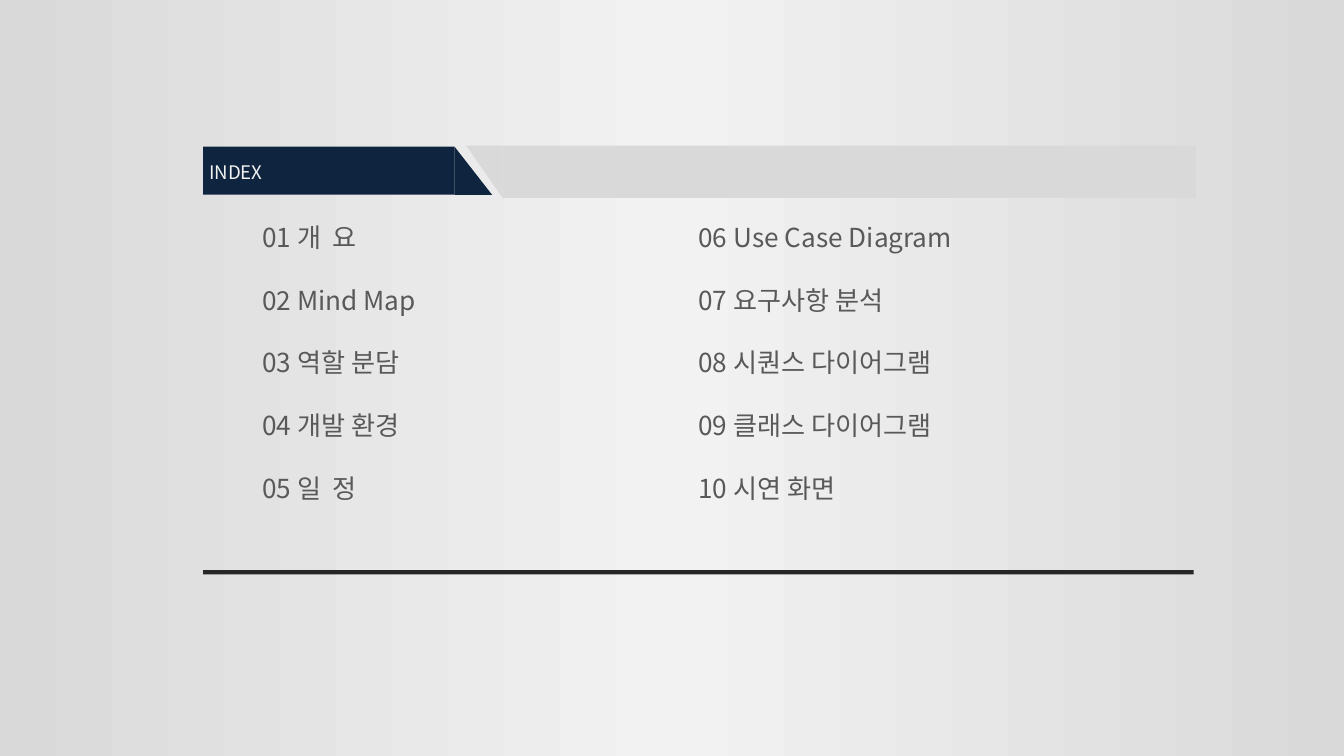
"""Build the INDEX slide: a header band, ten numbered topics in two columns and a closing rule."""
from copy import deepcopy

from lxml.etree import SubElement
from pptx import Presentation
from pptx.dml.color import RGBColor
from pptx.enum.shapes import MSO_SHAPE as Shape
from pptx.enum.text import MSO_ANCHOR as Anchor, MSO_AUTO_SIZE as AutoSize, PP_ALIGN as Align
from pptx.oxml.ns import qn
from pptx.util import Cm, Pt

FONT = "Noto Sans CJK KR"
NAVY = RGBColor(0x0F, 0x24, 0x3E)
SILVER = RGBColor(0xD9, 0xD9, 0xD9)
PALE = RGBColor(0xF2, 0xF2, 0xF2)
CHARCOAL = RGBColor(0x26, 0x26, 0x26)
GRAY = RGBColor(0x59, 0x59, 0x59)

TOPICS = [
    "01 개  요", "02 Mind Map", "03 역할 분담", "04 개발 환경", "05 일  정",
    "06 Use Case Diagram", "07 요구사항 분석", "08 시퀀스 다이어그램",
    "09 클래스 다이어그램", "10 시연 화면",
]


def place(shape, left, top, width, height):
    shape.left, shape.top = Cm(left), Cm(top)
    shape.width, shape.height = Cm(width), Cm(height)


def add_text(paragraph, text, size, color):
    run = paragraph.add_run()
    run.text = text
    run.font.size = Pt(size)
    run.font.name = FONT
    run.font.color.rgb = color
    SubElement(run.font._element, qn("a:ea")).set("typeface", FONT)


presentation = Presentation()
presentation.slide_width, presentation.slide_height = Cm(25.4), Cm(14.28)
slide = presentation.slides.add_slide(presentation.slide_layouts[1])

background = slide.background.fill
background.gradient()
background.gradient_angle = 0
stop_list = next(slide.element.iter(qn("a:gsLst")))
stop_list.insert(1, deepcopy(stop_list[0]))
for stop, position, color in zip(background.gradient_stops, (0, 0.5, 1), (SILVER, PALE, SILVER)):
    stop.position = position
    stop.color.rgb = color

title, topics = slide.placeholders

place(topics, 4.7, 4.01, 17, 6.83)
topic_frame = topics.text_frame
topic_frame.word_wrap = True
topic_frame.auto_size = AutoSize.NONE
topic_frame.vertical_anchor = Anchor.TOP
topic_frame.margin_bottom = Cm(0.6)
columns = topic_frame._txBody.bodyPr
columns.set("numCol", "2")
columns.set("spcCol", "0")
for index, topic in enumerate(TOPICS):
    paragraph = topic_frame.add_paragraph() if index else topic_frame.paragraphs[0]
    properties = paragraph._p.get_or_add_pPr()
    properties.set("marL", "0")
    properties.set("indent", "0")
    SubElement(properties, qn("a:buNone"))
    paragraph.line_spacing = Pt(18)
    paragraph.space_before = Pt(0)
    paragraph.space_after = Pt(15.6)
    add_text(paragraph, topic, 14, GRAY)

for preset, left, top, width, height, rotation, color in [
    (Shape.RIGHT_TRIANGLE, 8.81, 2.75, 0.69, 0.99, 180, SILVER),
    (Shape.RECTANGLE, 3.84, 2.77, 4.75, 0.91, 0, NAVY),
    (Shape.RIGHT_TRIANGLE, 8.59, 2.77, 0.71, 0.91, 0, NAVY),
    (Shape.RECTANGLE, 9.5, 2.75, 13.1, 0.99, 0, SILVER),
    (Shape.RECTANGLE, 3.84, 10.77, 18.72, 0.08, 0, CHARCOAL),
]:
    shape = slide.shapes.add_shape(preset, Cm(left), Cm(top), Cm(width), Cm(height))
    shape.rotation = rotation
    shape.shadow.inherit = False
    shape.fill.solid()
    shape.fill.fore_color.rgb = color
    shape.line.fill.background()

place(title, 3.7, 2.97, 3.81, 0.53)
title_frame = title.text_frame
title_frame.auto_size = AutoSize.NONE
title_frame.vertical_anchor = Anchor.TOP
title_frame.margin_top = title_frame.margin_bottom = Cm(0.06)
title_frame.paragraphs[0].alignment = Align.LEFT
add_text(title_frame.paragraphs[0], "INDEX", 10, PALE)
shape.element.addnext(title.element)

presentation.save("out.pptx")
